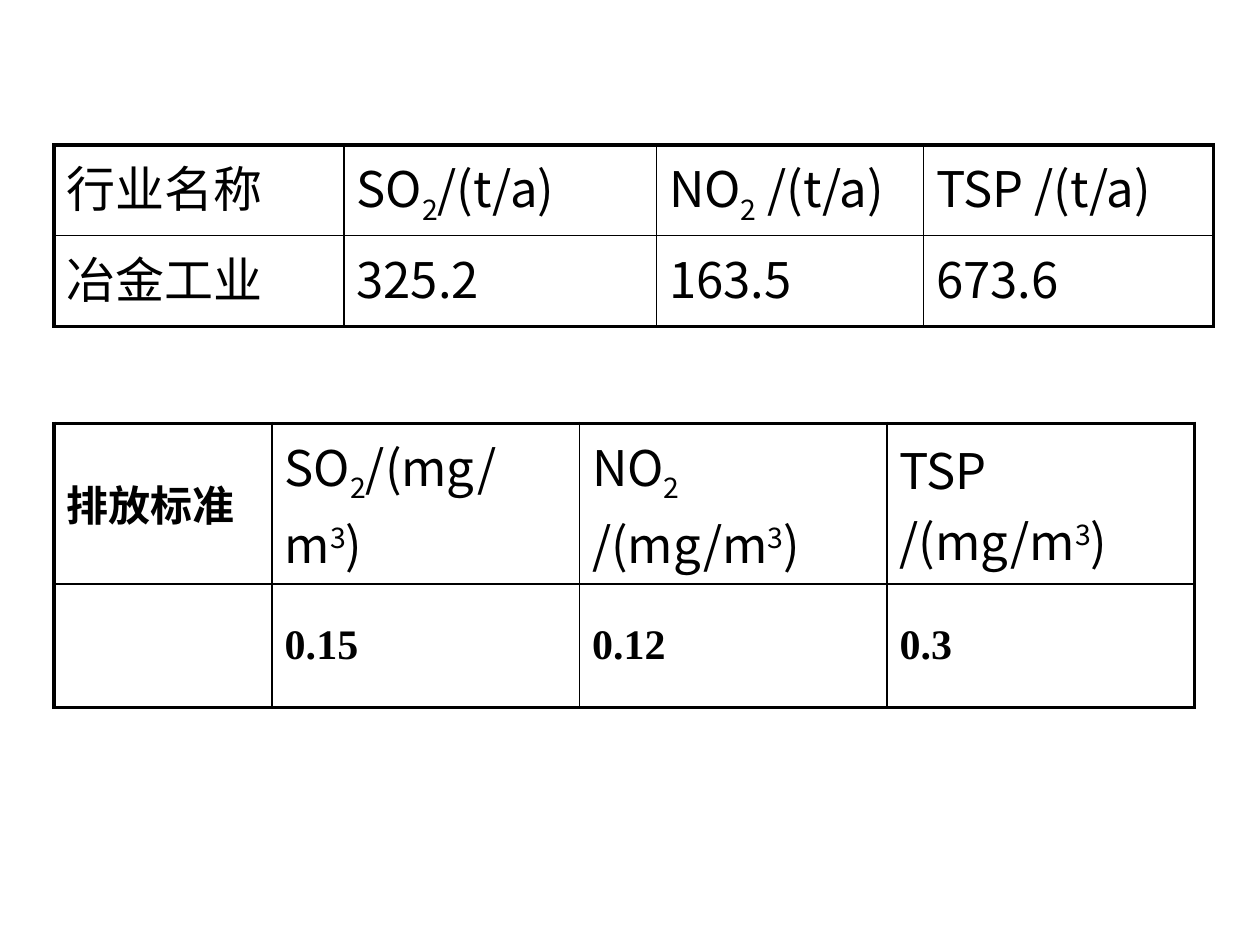
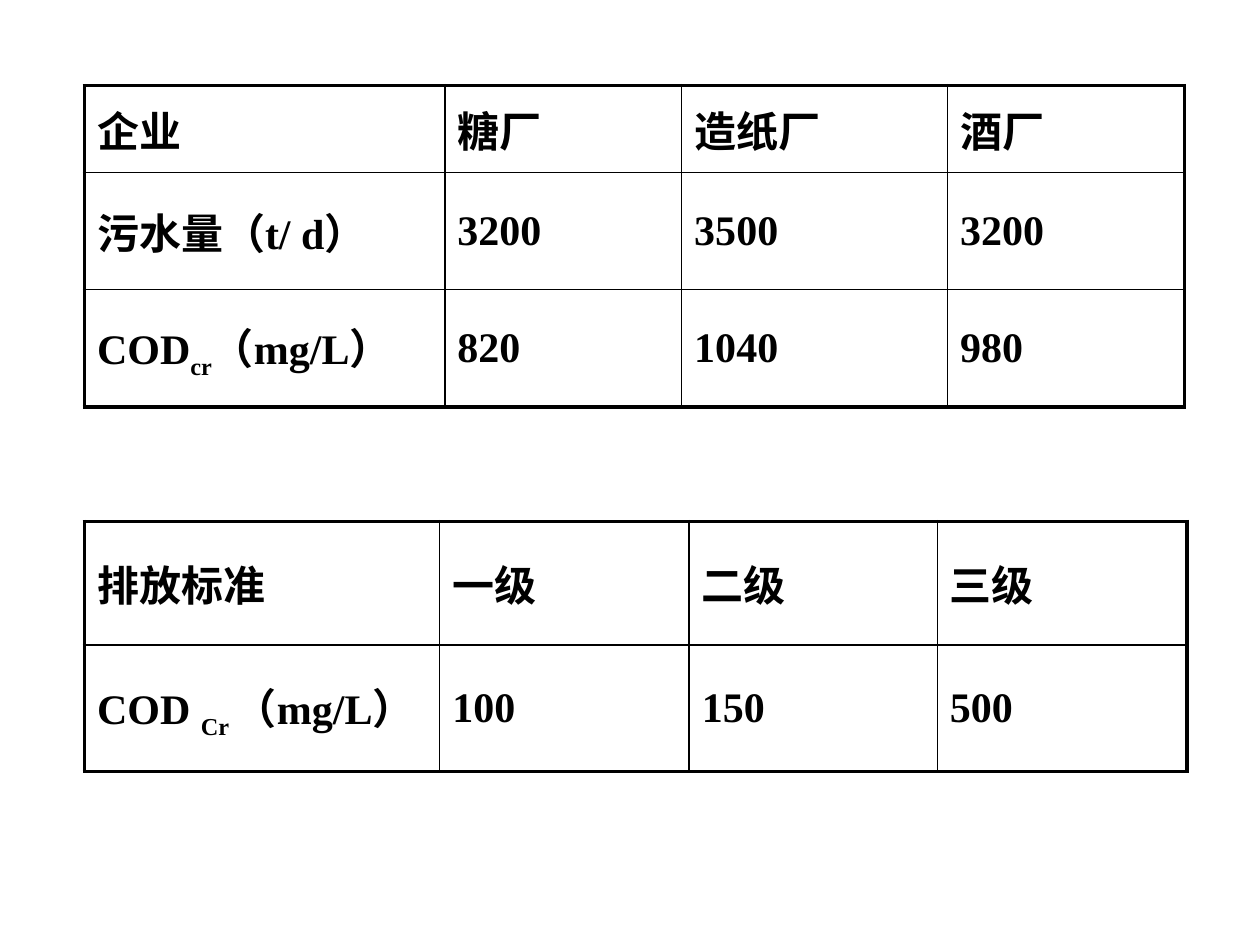
from dataclasses import dataclass

import lxml.etree
import pptx
import pptx.dml.color
import pptx.enum.text
import pptx.oxml.ns
import pptx.slide
import pptx.table
import pptx.text.text
import pptx.util

PX = 9144
INK = "000000"
CJK_FONT = "Noto Sans CJK SC"
OUTER_LINE, INNER_LINE = 2.25, 1
BASELINES = {"_": "-25000", "^": "30000"}
MIDDLE = pptx.enum.text.MSO_ANCHOR.MIDDLE
TOP = pptx.enum.text.MSO_ANCHOR.TOP


@dataclass(frozen=True)
class TextStyle:
    font: str
    size: int
    bold: bool


PLAIN = TextStyle(CJK_FONT, 28, False)
STRONG = TextStyle("Times New Roman", 24, True)


@dataclass(frozen=True)
class Row:
    height: int
    texts: list[str]
    label_style: TextStyle = STRONG
    value_style: TextStyle = STRONG


@dataclass(frozen=True)
class DataTable:
    left: int
    top: int
    col_widths: list[int]
    rows: list[Row]
    anchor: pptx.enum.text.MSO_ANCHOR = MIDDLE


SLIDES = [
    [
        DataTable(43, 115, [230, 248, 212, 230], [
            Row(72, ["行业名称", "SO|_2|/(t/a)", "NO|_2| /(t/a)", "TSP /(t/a)"], PLAIN, PLAIN),
            Row(72, ["冶金工业", "325.2", "163.5", "673.6"], PLAIN, PLAIN),
        ], TOP),
        DataTable(43, 336, [173, 244, 244, 244], [
            Row(98, ["排放标准", "SO|_2|/(mg/m|^3|)", "NO|_2| /(mg/m|^3|)", "TSP /(mg/m|^3|)"],
                value_style=PLAIN),
            Row(98, ["", "0.15", "0.12", "0.3"]),
        ]),
    ],
    [
        DataTable(67, 68, [286, 188, 211, 188], [
            Row(69, ["企业", "糖厂", "造纸厂", "酒厂"]),
            Row(93, ["污水量（t/ d）", "3200", "3500", "3200"]),
            Row(93, ["COD|_cr|（mg/L）", "820", "1040", "980"]),
        ]),
        DataTable(67, 414, [282, 198, 197, 198], [
            Row(98, ["排放标准", "一级", "二级", "三级"]),
            Row(98, ["COD |_Cr |（mg/L）", "100", "150", "500"]),
        ]),
    ],
]


def px(value: int) -> pptx.util.Emu:
    return pptx.util.Emu(value * PX)


def rgb(value: str) -> pptx.dml.color.RGBColor:
    return pptx.dml.color.RGBColor.from_string(value)


def add_child(parent, tag: str, **attributes: str):
    return lxml.etree.SubElement(parent, pptx.oxml.ns.qn(tag), attributes)


def write_text(p: pptx.text.text._Paragraph, text: str, style: TextStyle) -> None:
    for part in filter(None, text.split("|")):
        r = p.add_run()
        r.text = part.lstrip("_^")
        r.font.name = style.font
        r.font.size = pptx.util.Pt(style.size)
        r.font.bold = style.bold
        r.font.color.rgb = rgb(INK)
        props = r._r.get_or_add_rPr()
        add_child(props, "a:ea", typeface=CJK_FONT)
        if part[0] in BASELINES:
            props.set("baseline", BASELINES[part[0]])


def draw_borders(cell: pptx.table._Cell, outer_sides: dict[str, bool]) -> None:
    props = cell._tc.get_or_add_tcPr()
    for side, is_outer in outer_sides.items():
        width = pptx.util.Pt(OUTER_LINE if is_outer else INNER_LINE)
        line = add_child(props, f"a:ln{side}", w=str(width))
        add_child(add_child(line, "a:solidFill"), "a:srgbClr", val=INK)


def draw_table(s: pptx.slide.Slide, data: DataTable) -> None:
    last_row, last_col = len(data.rows) - 1, len(data.col_widths) - 1
    width, height = sum(data.col_widths), sum(row.height for row in data.rows)
    table = s.shapes.add_table(last_row + 1, last_col + 1, px(data.left), px(data.top),
                               px(width), px(height)).table
    table.first_row = table.horz_banding = False
    for column, col_width in zip(table.columns, data.col_widths):
        column.width = px(col_width)
    for i, row in enumerate(data.rows):
        table.rows[i].height = px(row.height)
        for j, text in enumerate(row.texts):
            cell = table.cell(i, j)
            cell.vertical_anchor = data.anchor
            draw_borders(cell, {"L": j == 0, "R": j == last_col, "T": i == 0, "B": i == last_row})
            cell.fill.background()
            style = row.value_style if j else row.label_style
            write_text(cell.text_frame.paragraphs[0], text, style)


def main() -> None:
    prs = pptx.Presentation()
    prs.slide_width, prs.slide_height = px(1000), px(750)
    for tables in SLIDES:
        s = prs.slides.add_slide(prs.slide_layouts[6])
        for data in tables:
            draw_table(s, data)
    prs.save("out.pptx")


if __name__ == "__main__":
    main()
